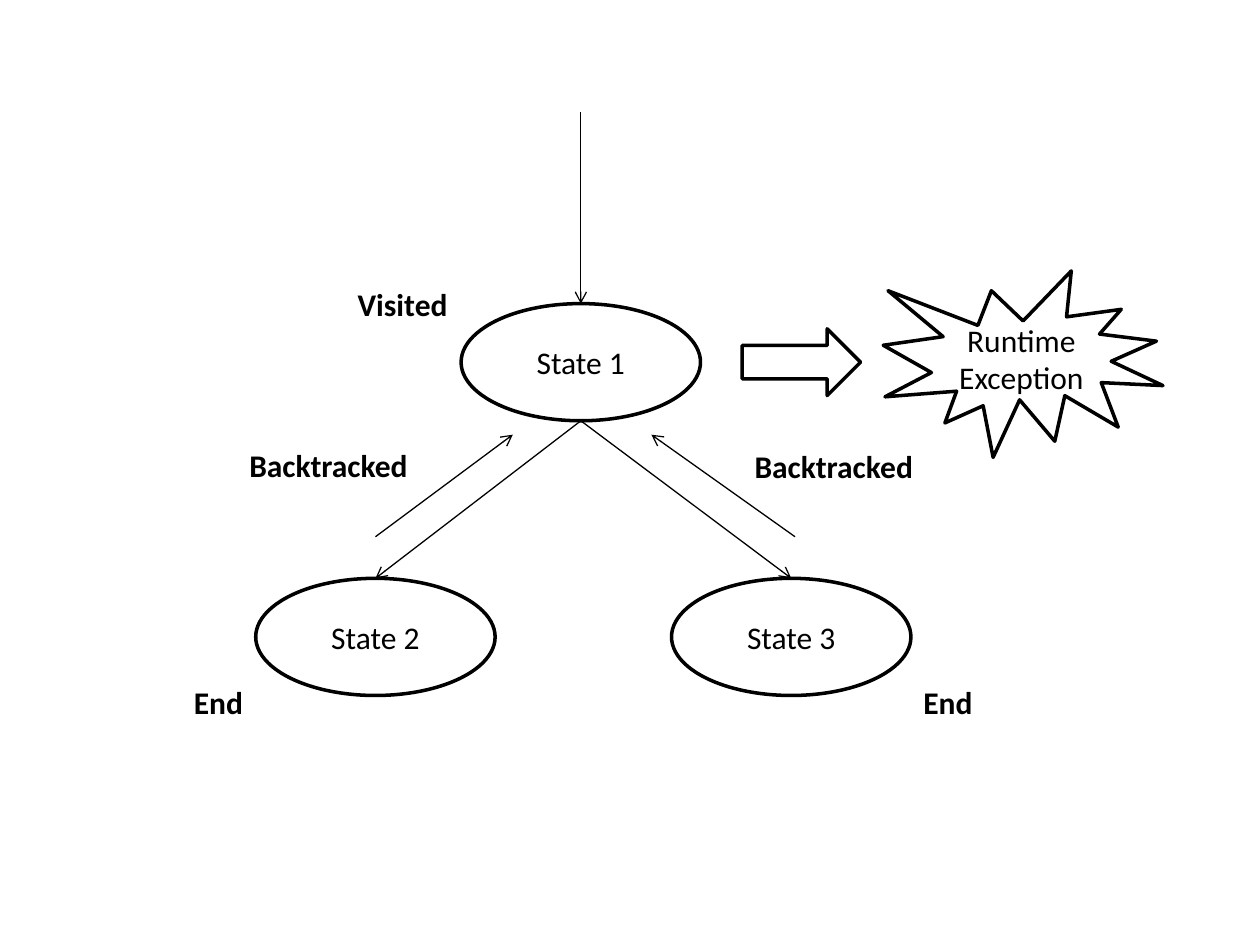
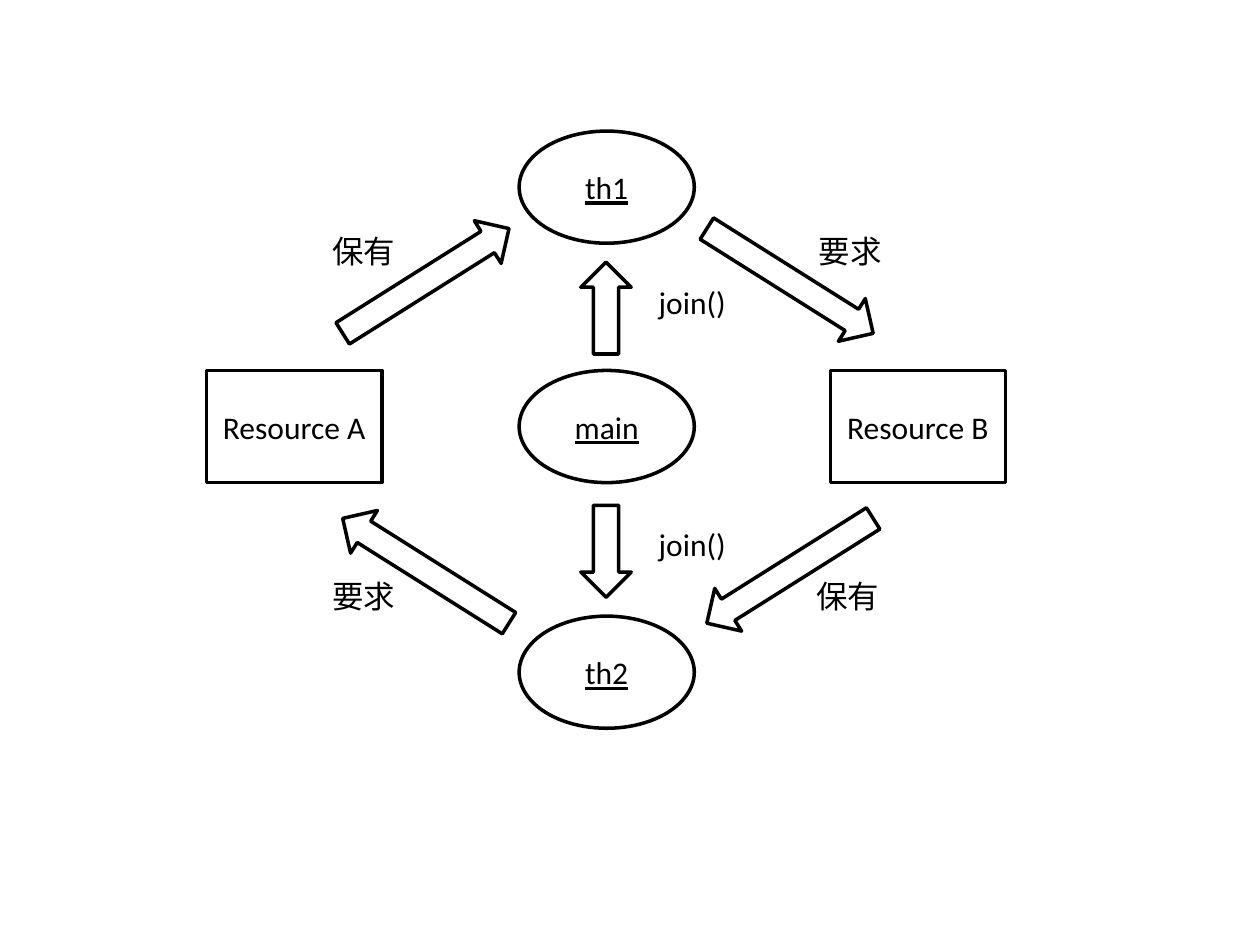
import pptx
import pptx.dml.color
import pptx.enum.shapes
import pptx.enum.text
import pptx.oxml
import pptx.oxml.ns
import pptx.util

Inches = pptx.util.Inches
Pt = pptx.util.Pt
SHAPES = pptx.enum.shapes.MSO_SHAPE
ALIGN = pptx.enum.text.PP_ALIGN
color = pptx.dml.color.RGBColor.from_string

INK = "000000"
PAPER = "FFFFFF"
FONT = "Calibri"
TEXT_SIZE = 18
LABEL_HEIGHT = 0.4


def write(shape, text, align, bold=None, underline=None):
    """Fill a shape with one paragraph, breaking the line at each newline."""
    paragraph = shape.text_frame.paragraphs[0]
    paragraph.alignment = align
    for number, line in enumerate(text.split("\n")):
        if number:
            paragraph.add_line_break()
        run = paragraph.add_run()
        run.text = line
        run.font.name = FONT
        run.font.size = Pt(TEXT_SIZE)
        run.font.bold = bold
        run.font.underline = underline
        run.font.color.rgb = color(INK)


def add_outlined(slide, kind, left, top, width, height, text="", underline=None):
    """Add a white shape with a black outline and optional centred text."""
    shape = slide.shapes.add_shape(
        kind, Inches(left), Inches(top), Inches(width), Inches(height))
    shape.shadow.inherit = False
    shape.fill.solid()
    shape.fill.fore_color.rgb = color(PAPER)
    shape.line.color.rgb = color(INK)
    shape.line.width = Pt(2)
    if text:
        shape.text_frame.vertical_anchor = pptx.enum.text.MSO_ANCHOR.MIDDLE
        write(shape, text, ALIGN.CENTER, underline=underline)
    return shape


presentation = pptx.Presentation()
presentation.slide_width = Inches(10)
presentation.slide_height = Inches(7.5)
blank_layout = presentation.slide_layouts[6]
state_slide = presentation.slides.add_slide(blank_layout)
deadlock_slide = presentation.slides.add_slide(blank_layout)

# State search: states, transitions and the exception
for text, left, top in [("State 1", 3.66, 2.41),
                        ("State 2", 2.03, 4.59),
                        ("State 3", 5.33, 4.59)]:
    add_outlined(state_slide, SHAPES.OVAL, left, top, 1.9, 0.93, text)

root_top, root_bottom = (4.61, 2.41), (4.61, 3.34)
transitions = [
    ((4.61, 0.89), root_top),
    (root_bottom, (2.98, 4.59)),
    (root_bottom, (6.28, 4.59)),
    ((2.98, 4.26), (4.07, 3.45)),
    ((6.31, 4.26), (5.17, 3.45)),
]
for start, end in transitions:
    connector = state_slide.shapes.add_connector(
        pptx.enum.shapes.MSO_CONNECTOR.STRAIGHT,
        *[Inches(value) for value in start + end])
    connector.line.color.rgb = color(INK)
    connector.line.width = Pt(0.75)
    arrowhead = pptx.oxml.parse_xml(
        "<a:tailEnd %s type='arrow'/>" % pptx.oxml.ns.nsdecls("a"))
    connector.line._get_or_add_ln().append(arrowhead)
    no_effects = pptx.oxml.parse_xml(
        "<a:effectLst %s/>" % pptx.oxml.ns.nsdecls("a"))
    connector._element.spPr.append(no_effects)

add_outlined(state_slide, SHAPES.RIGHT_ARROW, 5.89, 2.61, 0.94, 0.53)
add_outlined(state_slide, SHAPES.EXPLOSION1, 7.01, 2.15, 2.22, 1.48,
             "Runtime\nException")

# Deadlock: threads in the middle column, resources on either side
node_width, node_height = 1.39, 0.89
middle_left, middle_top = 4.12, 2.94
for text, top in [("th1", 1.04), ("main", middle_top), ("th2", 4.89)]:
    add_outlined(deadlock_slide, SHAPES.OVAL, middle_left, top,
                 node_width, node_height, text, underline=True)
for text, left in [("Resource A", 1.64), ("Resource B", 6.59)]:
    add_outlined(deadlock_slide, SHAPES.RECTANGLE, left, middle_top,
                 node_width, node_height, text)

# Block arrows are upright arrows turned clockwise
arrow_width, join_length, resource_length = 0.4, 0.73, 1.56
tilt = 57.8
for left, top, length, rotation in [
    (4.61, 2.08, join_length, 0),
    (4.61, 4.01, join_length, 180),
    (3.18, 1.45, resource_length, tilt),
    (6.07, 1.45, resource_length, 180 - tilt),
    (6.07, 3.75, resource_length, 180 + tilt),
    (3.18, 3.75, resource_length, 360 - tilt),
]:
    arrow = add_outlined(deadlock_slide, SHAPES.UP_ARROW, left, top,
                         arrow_width, length)
    arrow.rotation = rotation

# Free labels of both slides
for slide, text, left, top, width, bold in [
    (state_slide, "End", 1.44, 5.37, 0.59, True),
    (state_slide, "End", 7.23, 5.37, 0.59, True),
    (state_slide, "Visited", 2.74, 2.21, 0.93, True),
    (state_slide, "Backtracked", 1.88, 3.49, 1.49, True),
    (state_slide, "Backtracked", 5.89, 3.5, 1.49, True),
    (deadlock_slide, "join()", 5.13, 2.2, 0.76, None),
    (deadlock_slide, "join()", 5.13, 4.12, 0.76, None),
    (deadlock_slide, "保有", 2.54, 1.79, 0.71, None),
    (deadlock_slide, "保有", 6.38, 4.53, 0.71, None),
    (deadlock_slide, "要求", 6.4, 1.79, 0.71, None),
    (deadlock_slide, "要求", 2.54, 4.53, 0.71, None),
]:
    label = slide.shapes.add_textbox(
        Inches(left), Inches(top), Inches(width), Inches(LABEL_HEIGHT))
    label.text_frame.word_wrap = False
    label.text_frame.auto_size = pptx.enum.text.MSO_AUTO_SIZE.SHAPE_TO_FIT_TEXT
    write(label, text, ALIGN.LEFT, bold=bold)

presentation.save("out.pptx")
